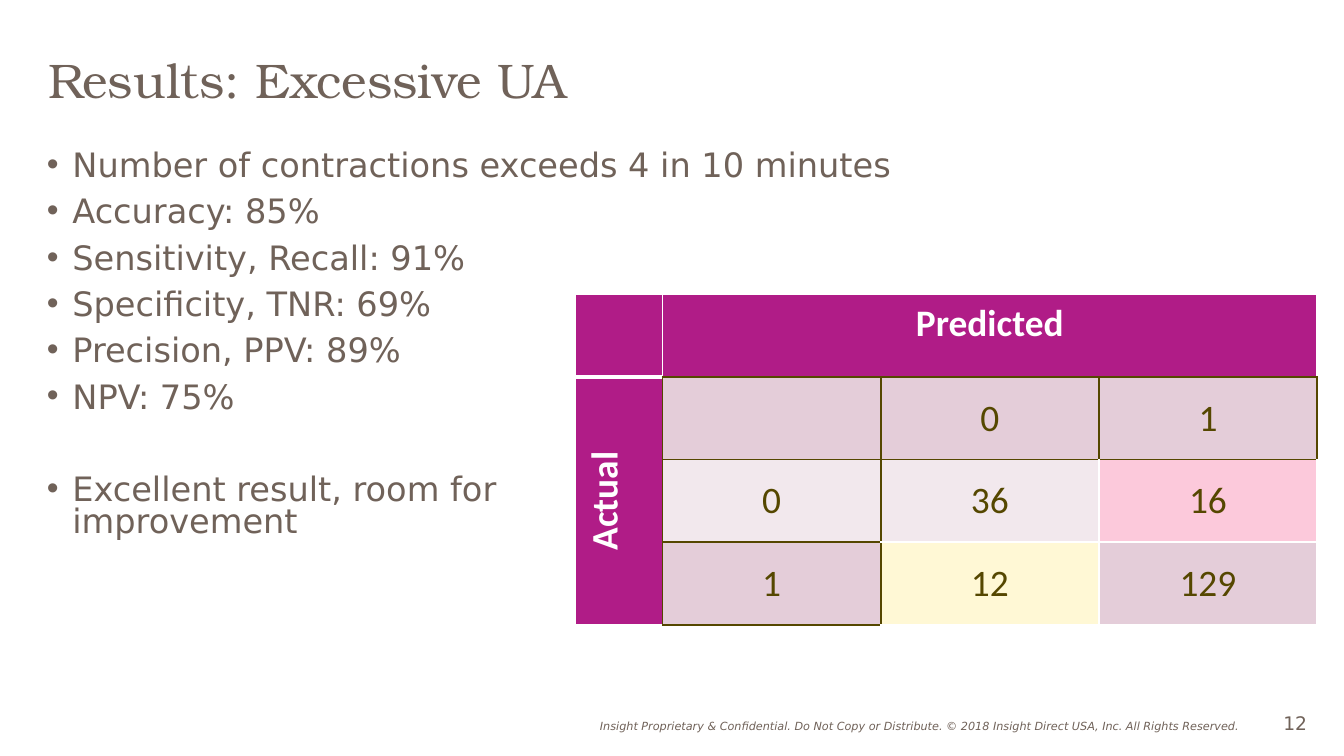
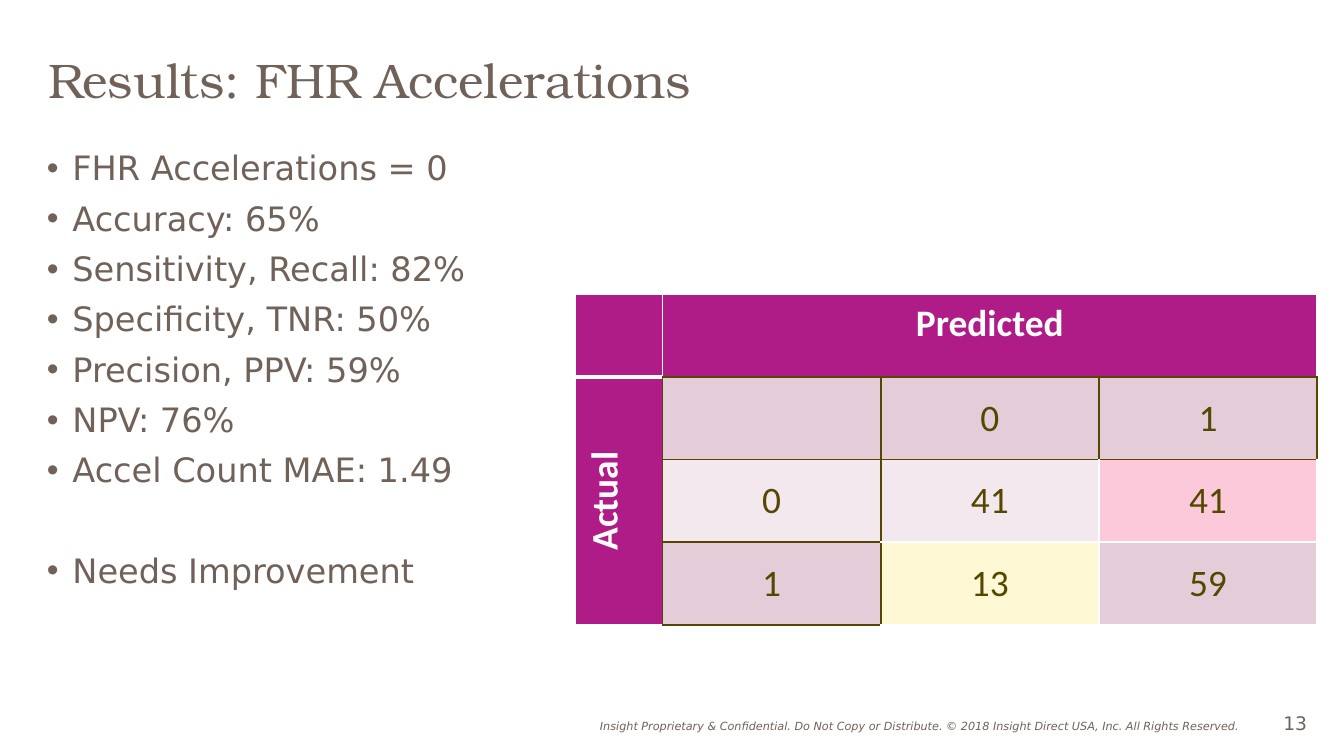
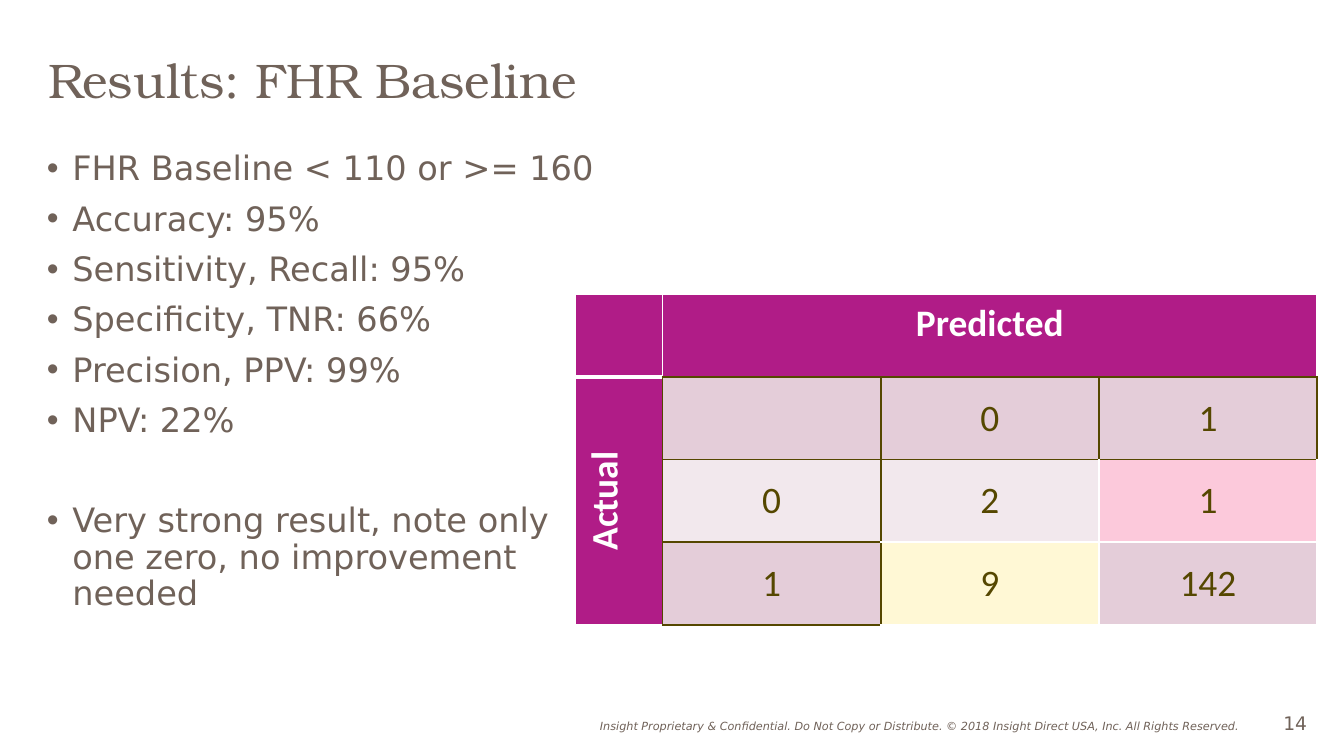
from lxml import etree
from pptx import Presentation
from pptx.dml.color import RGBColor
from pptx.enum.text import MSO_ANCHOR, MSO_AUTO_SIZE, PP_ALIGN
from pptx.oxml.ns import qn
from pptx.util import Inches, Pt

LEFT, CENTER, RIGHT = PP_ALIGN.LEFT, PP_ALIGN.CENTER, PP_ALIGN.RIGHT
TOP, MIDDLE = MSO_ANCHOR.TOP, MSO_ANCHOR.MIDDLE
GROW, FIXED = MSO_AUTO_SIZE.SHAPE_TO_FIT_TEXT, MSO_AUTO_SIZE.NONE

COLORS = {
    "text": "706259", "white": "FFFFFF", "olive": "554700", "magenta": "B01C87",
    "mauve": "E4CDD9", "pale": "F2E8ED", "pink": "FCC9DB", "cream": "FFF8D5",
}
BODY_FONT, TITLE_FONT, TABLE_FONT = "DejaVu Sans", "TeX Gyre Bonum", "Calibri"
FOOTER = ("Insight Proprietary & Confidential. Do Not Copy or Distribute. "
          "© 2018 Insight Direct USA, Inc. All Rights Reserved.")
FIRST_PAGE = 12
SLIDE_WIDTH = Inches(10)
BULLET_SIZE, BULLET_GAP, BULLET_INDENT = 18, 7.5, 0.19
TABLE_WIDTH, TABLE_HEIGHT, SIDE_WIDTH = Inches(5.52), Inches(2.46), Inches(0.65)

# Confusion matrix: fills, and the borders that differ from olive (left, right, top, bottom)
MATRIX_FILLS = [
    ["magenta", "magenta", "magenta", "magenta"],
    ["magenta", "mauve", "mauve", "mauve"],
    ["magenta", "pale", "pale", "pink"],
    ["magenta", "mauve", "cream", "mauve"],
]
HEADER_BORDERS = ("white", "white", "white", "olive")
SIDE_BORDERS = ("white", "olive", "white", "white")
MATRIX_BORDERS = {
    (0, 0): ("white",) * 4,
    **{(0, column): HEADER_BORDERS for column in (1, 2, 3)},
    **{(row, 0): SIDE_BORDERS for row in (1, 2, 3)},
    (2, 2): ("olive", "white", "olive", "white"),
    (2, 3): ("white", "white", "olive", "white"),
    (3, 2): ("olive", "white", "white", "white"),
    (3, 3): ("white",) * 4,
}

# Title, bullets, conclusion, line spacing, body width and height, matrix counts
RESULTS = [
    ("Results: Excessive UA",
     ["Number of contractions exceeds 4 in 10 minutes", "Accuracy: 85%",
      "Sensitivity, Recall: 91%", "Specificity, TNR: 69%", "Precision, PPV: 89%", "NPV: 75%"],
     "Excellent result, room for \vimprovement\v", 0.8, (6.88, 3.49), (36, 16, 12, 129)),
    ("Results: FHR Accelerations",
     ["FHR Accelerations = 0", "Accuracy: 65%", "Sensitivity, Recall: 82%",
      "Specificity, TNR: 50%", "Precision, PPV: 59%", "NPV: 76%", "Accel Count MAE: 1.49"],
     "Needs Improvement", 0.9, (6.88, 3.57), (41, 41, 13, 59)),
    ("Results: FHR Baseline",
     ["FHR Baseline < 110 or >= 160", "Accuracy: 95%", "Sensitivity, Recall: 95%",
      "Specificity, TNR: 66%", "Precision, PPV: 99%", "NPV: 22%"],
     "Very strong result, note only one zero, no improvement needed",
     0.9, (4.32, 3.66), (2, 1, 9, 142)),
]


def write(paragraph, text, *, size, font=BODY_FONT, color="text", bold=False, italic=False,
          align=LEFT, line_spacing=1.0, space_before=0):
    paragraph.text = text
    paragraph.alignment = align
    paragraph.line_spacing = line_spacing
    paragraph.space_before = Pt(space_before)
    for run in paragraph.runs:
        run.font.size = Pt(size)
        run.font.name = font
        run.font.bold = bold
        run.font.italic = italic
        run.font.color.rgb = RGBColor.from_string(COLORS[color])


def add_bullet(paragraph):
    properties = paragraph._p.get_or_add_pPr()
    properties.set("marL", str(Inches(BULLET_INDENT)))
    properties.set("indent", str(-Inches(BULLET_INDENT)))
    etree.SubElement(properties, qn("a:buFont"), typeface="Arial")
    etree.SubElement(properties, qn("a:buChar"), char="•")


def set_borders(cell, colors, bottom_width=1):
    properties = cell._tc.get_or_add_tcPr()
    for side, color in zip("LRTB", colors):
        width = bottom_width if side == "B" else 1
        line = etree.SubElement(properties, qn(f"a:ln{side}"), w=str(Pt(width)))
        fill = etree.SubElement(line, qn("a:solidFill"))
        etree.SubElement(fill, qn("a:srgbClr"), val=COLORS[color])


class Deck:
    def __init__(self):
        self.presentation = Presentation()
        self.presentation.slide_width = SLIDE_WIDTH
        self.presentation.slide_height = SLIDE_WIDTH * 9 // 16
        self.slide = None

    def add_slide(self, title, page):
        self.slide = self.presentation.slides.add_slide(self.presentation.slide_layouts[6])
        self.text(FOOTER, 3.53, 5.3, 5.78, 0.2, auto_size=GROW, size=6, italic=True, align=RIGHT)
        self.text(str(page), 9.45, 5.25, 0.7, 0.27, auto_size=GROW, size=10)
        self.text(title, 0.26, 0.24, 9.53, 0.75, anchor=MIDDLE,
                  size=26, font=TITLE_FONT, line_spacing=0.9)

    def frame(self, left, top, width, height, anchor=TOP, auto_size=FIXED):
        shape = self.slide.shapes.add_textbox(
            Inches(left), Inches(top), Inches(width), Inches(height))
        frame = shape.text_frame
        frame.word_wrap = True
        frame.auto_size = auto_size
        frame.vertical_anchor = anchor
        return frame

    def text(self, text, left, top, width, height, anchor=TOP, auto_size=FIXED, **style):
        frame = self.frame(left, top, width, height, anchor, auto_size)
        write(frame.paragraphs[0], text, **style)

    def bullets(self, items, conclusion, line_spacing, width, height):
        frame = self.frame(0.25, 1.08, width, height)
        # The conclusion stands one empty line below the figures
        conclusion_gap = 2 * BULLET_GAP + 1.2 * BULLET_SIZE * line_spacing
        gaps = [0] + [BULLET_GAP] * (len(items) - 1) + [conclusion_gap]
        for index, (item, gap) in enumerate(zip(items + [conclusion], gaps)):
            paragraph = frame.add_paragraph() if index else frame.paragraphs[0]
            add_bullet(paragraph)
            write(paragraph, item, size=BULLET_SIZE,
                  line_spacing=line_spacing, space_before=round(gap, 1))

    def confusion_matrix(self, counts):
        table = self.slide.shapes.add_table(
            4, 4, Inches(4.28), Inches(2.19), TABLE_WIDTH, TABLE_HEIGHT).table
        table.first_row = table.horz_banding = False
        value_width = (TABLE_WIDTH - SIDE_WIDTH) // 3
        for column, width in zip(table.columns, [SIDE_WIDTH] + [value_width] * 3):
            column.width = width
        for row in table.rows:
            row.height = TABLE_HEIGHT // 4

        true_zero, false_one, false_zero, true_one = counts
        values = [
            ["", "Predicted", "", ""],
            ["Actual", "", "0", "1"],
            ["", "0", true_zero, false_one],
            ["", "1", false_zero, true_one],
        ]
        for row, row_values in enumerate(values):
            for column, value in enumerate(row_values):
                cell = table.cell(row, column)
                header = row == 0 or column == 0
                set_borders(cell, MATRIX_BORDERS.get((row, column), ("olive",) * 4),
                            bottom_width=3 if row == column == 0 else 1)
                cell.fill.solid()
                cell.fill.fore_color.rgb = RGBColor.from_string(COLORS[MATRIX_FILLS[row][column]])
                cell.vertical_anchor = TOP if header else MIDDLE
                write(cell.text_frame.paragraphs[0], str(value), size=20, font=TABLE_FONT,
                      color="white" if header else "olive", bold=header, align=CENTER)

        table.cell(0, 1).merge(table.cell(0, 3))
        table.cell(1, 0).merge(table.cell(3, 0))
        table.cell(1, 0)._tc.get_or_add_tcPr().set("vert", "vert270")


def main():
    deck = Deck()
    for page, result in enumerate(RESULTS, FIRST_PAGE):
        title, items, conclusion, line_spacing, body_size, counts = result
        deck.add_slide(title, page)
        deck.bullets(items, conclusion, line_spacing, *body_size)
        deck.confusion_matrix(counts)
    deck.presentation.save("out.pptx")


if __name__ == "__main__":
    main()
